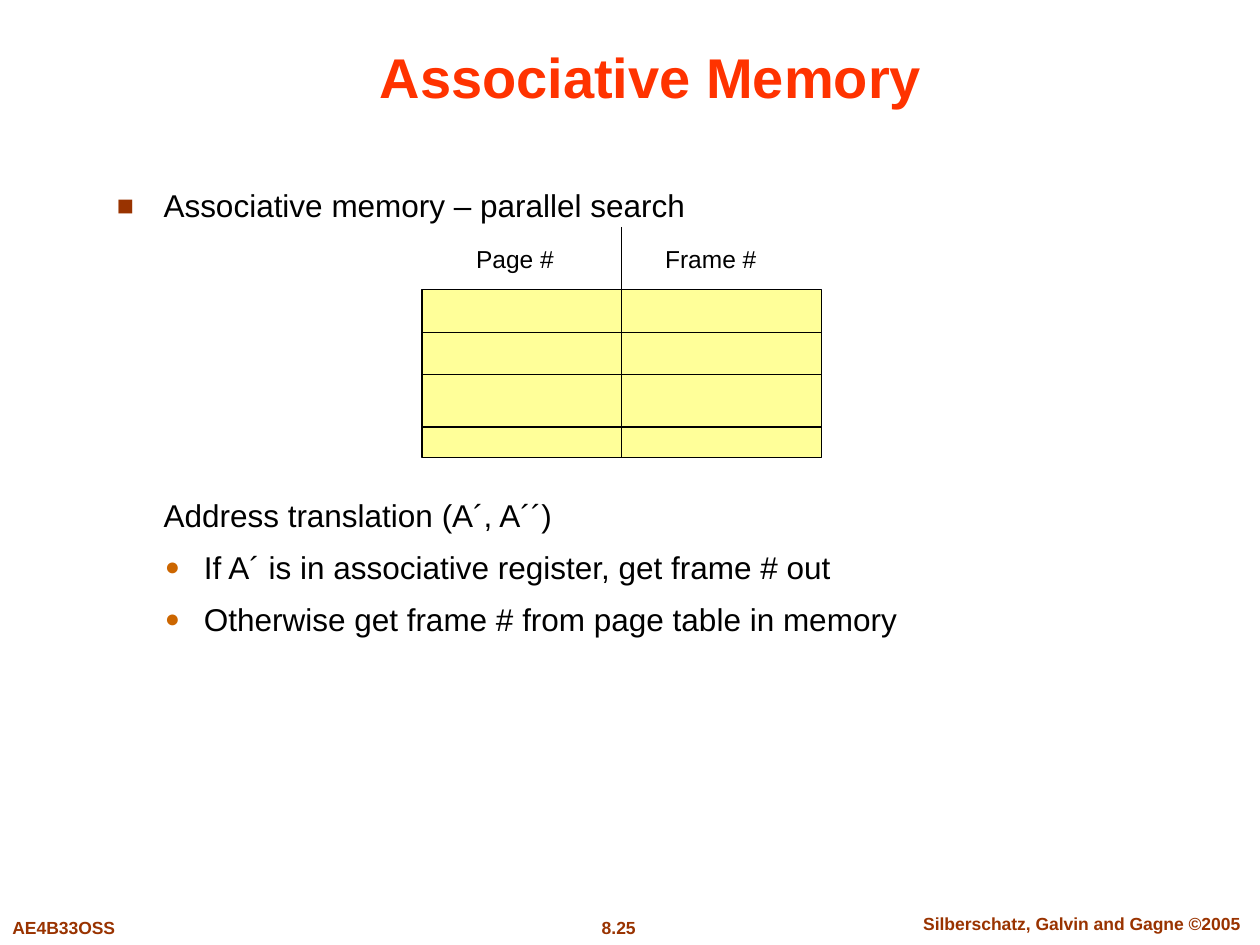
from lxml import etree
from pptx import Presentation
from pptx.dml.color import RGBColor
from pptx.enum.shapes import MSO_CONNECTOR, MSO_SHAPE
from pptx.enum.text import MSO_ANCHOR, PP_ALIGN
from pptx.oxml.ns import qn
from pptx.util import Inches, Pt

STRAIGHT = MSO_CONNECTOR.STRAIGHT
RECTANGLE = MSO_SHAPE.RECTANGLE
TOP, MIDDLE, BOTTOM = MSO_ANCHOR.TOP, MSO_ANCHOR.MIDDLE, MSO_ANCHOR.BOTTOM
LEFT, CENTER = PP_ALIGN.LEFT, PP_ALIGN.CENTER

FONT = "Arial"
BLACK, RED, BROWN, ORANGE, YELLOW = "000000", "FF3300", "993300", "CC6600", "FFFF99"
SQUARE_BULLET = ("■", BROWN, 90)
ROUND_BULLET = ("●", ORANGE, 80)


def color(value):
    """Turn a hex string into a colour."""
    return RGBColor.from_string(value)


def add_run(paragraph, text, size, hex_color, bold=False):
    """Append one formatted run to a paragraph."""
    run = paragraph.add_run()
    run.text = text
    run.font.name = FONT
    run.font.size = Pt(size)
    run.font.bold = bold
    run.font.color.rgb = color(hex_color)


def add_frame(slide, box, anchor=TOP):
    """Add an empty text box and return its text frame."""
    frame = slide.shapes.add_textbox(*map(Inches, box)).text_frame
    frame.word_wrap = True
    frame.vertical_anchor = anchor
    return frame


def add_label(slide, box, text, size, hex_color, bold=False,
              align=LEFT, anchor=TOP):
    """Add a text box holding a single line."""
    paragraph = add_frame(slide, box, anchor).paragraphs[0]
    paragraph.alignment = align
    add_run(paragraph, text, size, hex_color, bold)


def set_indent(paragraph, margin, hanging, bullet):
    """Set the indent of a paragraph and its bullet, if any."""
    properties = paragraph._p.get_or_add_pPr()
    properties.set("marL", str(Inches(margin)))
    properties.set("indent", str(-Inches(hanging)))
    if bullet is None:
        etree.SubElement(properties, qn("a:buNone"))
        return
    character, hex_color, percent = bullet
    bullet_color = etree.SubElement(properties, qn("a:buClr"))
    etree.SubElement(bullet_color, qn("a:srgbClr"), val=hex_color)
    etree.SubElement(properties, qn("a:buSzPct"), val=str(percent * 1000))
    etree.SubElement(properties, qn("a:buFont"), typeface=FONT)
    etree.SubElement(properties, qn("a:buChar"), char=character)


def add_body(slide, box):
    """Add the bulleted text, leaving room for the register table."""
    items = [
        ("Associative memory – parallel search", 0, 0.37, 0.37, SQUARE_BULLET, 0),
        ("Address translation (A´, A´´)", 0, 0.37, 0, None, 155.5),
        ("If A´ is in associative register, get frame # out",
         1, 0.69, 0.31, ROUND_BULLET, 7.9),
        ("Otherwise get frame # from page table in memory",
         1, 0.69, 0.31, ROUND_BULLET, 7.9),
    ]
    frame = add_frame(slide, box)
    for index, (text, level, margin, hanging, bullet, space) in enumerate(items):
        paragraph = frame.add_paragraph() if index else frame.paragraphs[0]
        paragraph.level = level
        set_indent(paragraph, margin, hanging, bullet)
        paragraph.space_before = Pt(space)
        add_run(paragraph, text, 18, BLACK)


def add_line(slide, start, end):
    """Add a thin black line and return it."""
    line = slide.shapes.add_connector(STRAIGHT, *map(Inches, start + end))
    line.line.color.rgb = color(BLACK)
    line.line.width = Pt(0.75)
    etree.SubElement(line._element.spPr, qn("a:effectLst"))
    return line


def add_registers(slide, box):
    """Draw the associative registers with their column headings."""
    left, top, width, height = box
    table = slide.shapes.add_shape(RECTANGLE, *map(Inches, box))
    table.shadow.inherit = False
    table.fill.solid()
    table.fill.fore_color.rgb = color(YELLOW)
    table.line.color.rgb = color(BLACK)
    table.line.width = Pt(0.75)

    middle = left + width / 2
    divider = add_line(slide, (middle, top - 0.5), (middle, top + height))
    divider.end_connect(table, 2)
    for offset in (0.34, 0.67, 1.09):
        add_line(slide, (left, top + offset), (left + width, top + offset))
    for offset, heading in ((0.33, "Page #"), (1.83, "Frame #")):
        add_label(slide, (left + offset, top - 0.41, 1.42, 0.33), heading,
                  14, BLACK, anchor=MIDDLE)


def add_footer(slide, box):
    """Add the course code, slide number and copyright line."""
    left, top, width, height = box
    entries = [
        ("AE4B33OSS", 0, 0, 1.3, LEFT),
        ("8.25", 4.42, 0, 0.98, CENTER),
        ("Silberschatz, Galvin and Gagne ©2005",
         width - 2.83, -0.03, 2.83, CENTER),
    ]
    for text, across, down, text_width, align in entries:
        add_label(slide, (left + across, top + down, text_width, height), text,
                  10, BROWN, bold=True, align=align)


def main():
    """Build the slide and save it."""
    presentation = Presentation()
    presentation.slide_width = Inches(10)
    presentation.slide_height = Inches(7.5)
    slide = presentation.slides.add_slide(presentation.slide_layouts[6])
    add_footer(slide, (0, 7.23, 10, 0.27))
    add_label(slide, (0.75, 0.25, 8.83, 0.67), "Associative Memory",
              32, RED, bold=True, align=CENTER, anchor=BOTTOM)
    add_body(slide, (0.83, 1.43, 8.04, 4.9))
    add_registers(slide, (3.35, 2.3, 3.17, 1.33))
    presentation.save("out.pptx")


if __name__ == "__main__":
    main()
